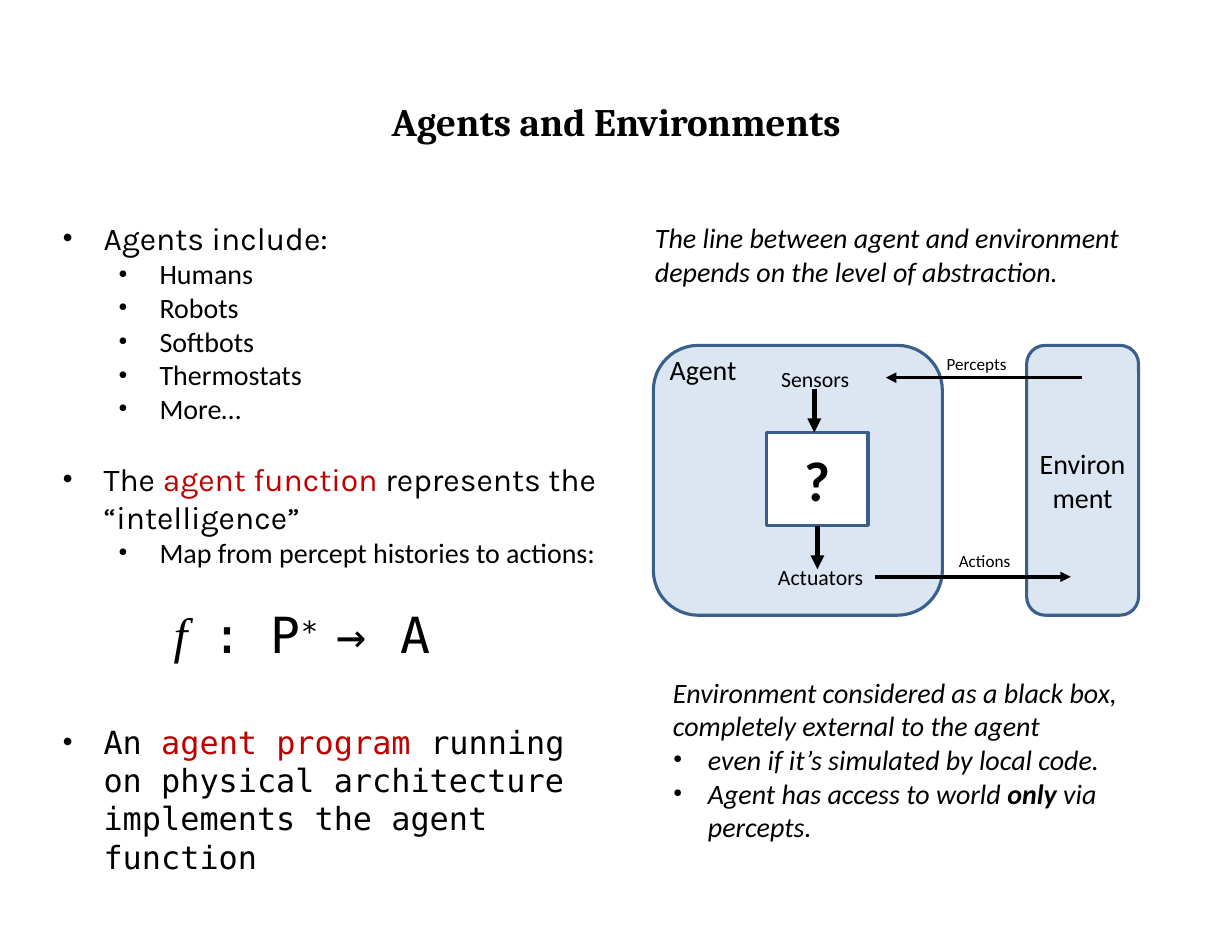
from lxml import etree
from pptx import Presentation
from pptx.dml.color import RGBColor
from pptx.enum.shapes import MSO_CONNECTOR, MSO_SHAPE
from pptx.enum.text import MSO_ANCHOR, PP_ALIGN
from pptx.oxml.ns import qn
from pptx.util import Pt

STRAIGHT = MSO_CONNECTOR.STRAIGHT
RECT, ROUND = MSO_SHAPE.RECTANGLE, MSO_SHAPE.ROUNDED_RECTANGLE
LEFT, CENTER = PP_ALIGN.LEFT, PP_ALIGN.CENTER
TOP, MIDDLE = MSO_ANCHOR.TOP, MSO_ANCHOR.MIDDLE

COLORS = {"text": "000000", "accent": "C00000", "panel": "DCE6F2",
          "outline": "3A5F8B", "white": "FFFFFF"}
BODY, HEAD, LEAD = "Calibri", "Cambria", "Karla"
MONO, SERIF = "DejaVu Sans Mono", "Times New Roman"


def rgb(name):
    return RGBColor.from_string(COLORS[name])


def run(text, font=BODY, size=18, color="text", bold=False, italic=False,
        spacing=0, raised=0):
    """Describe a piece of text and its format."""
    return dict(text=text, font=font, size=size, color=color, bold=bold,
                italic=italic, spacing=spacing, raised=raised)


def line(*runs, align=LEFT, margin=0, hang=0, before=0, level=0):
    """Describe a paragraph; a hanging indent gives it a bullet."""
    return dict(runs=runs, align=align, margin=margin, hang=hang,
                before=before, level=level)


class Page:
    def __init__(self, deck):
        self.shapes = deck.slides.add_slide(deck.slide_layouts[6]).shapes

    def fill_text(self, frame, lines, insets, anchor=TOP, wrap=True):
        frame.word_wrap = wrap
        frame.vertical_anchor = anchor
        side, edge = insets
        frame.margin_left = frame.margin_right = Pt(side)
        frame.margin_top = frame.margin_bottom = Pt(edge)
        for index, item in enumerate(lines):
            para = frame.add_paragraph() if index else frame.paragraphs[0]
            self.format_para(para, item)
            for piece in item["runs"]:
                self.add_span(para, piece)

    def format_para(self, para, item):
        para.alignment = item["align"]
        para.level = item["level"]
        para.space_before = Pt(item["before"])
        props = para._p.get_or_add_pPr()
        props.set("marL", str(Pt(item["margin"])))
        props.set("indent", str(-Pt(item["hang"])))
        if item["hang"]:
            color = etree.SubElement(props, qn("a:buClr"))
            etree.SubElement(color, qn("a:srgbClr"), val=COLORS["text"])
            etree.SubElement(props, qn("a:buFont"), typeface=SERIF)
            etree.SubElement(props, qn("a:buChar"), char="•")

    def add_span(self, para, piece):
        span = para.add_run()
        span.text = piece["text"]
        font = span.font
        font.name, font.size = piece["font"], Pt(piece["size"])
        font.bold, font.italic = piece["bold"], piece["italic"]
        font.color.rgb = rgb(piece["color"])
        props = span._r.get_or_add_rPr()
        if piece["spacing"]:
            props.set("spc", str(round(piece["spacing"] * 100)))
        if piece["raised"]:
            props.set("baseline", str(piece["raised"] * 1000))

    def text(self, left, top, width, height, *lines, insets=(7.2, 3.6), wrap=True):
        box = self.shapes.add_textbox(Pt(left), Pt(top), Pt(width), Pt(height))
        self.fill_text(box.text_frame, lines, insets, wrap=wrap)

    def block(self, kind, left, top, width, height, *lines, fill="panel",
              insets=(7.2, 3.6)):
        shape = self.shapes.add_shape(kind, Pt(left), Pt(top), Pt(width), Pt(height))
        shape.shadow.inherit = False
        shape.fill.solid()
        shape.fill.fore_color.rgb = rgb(fill)
        shape.line.color.rgb = rgb("outline")
        shape.line.width = Pt(2)
        self.fill_text(shape.text_frame, lines, insets, anchor=MIDDLE)

    def arrow(self, x1, y1, x2, y2, weight):
        arrow = self.shapes.add_connector(STRAIGHT, Pt(x1), Pt(y1), Pt(x2), Pt(y2))
        arrow.line.color.rgb = rgb("text")
        arrow.line.width = Pt(weight)
        etree.SubElement(arrow.line._get_or_add_ln(), qn("a:tailEnd"), type="triangle")
        etree.SubElement(arrow._element.spPr, qn("a:effectLst"))


def topic(*runs, before=0):
    return line(*runs, margin=27, hang=26.6, before=before)


def detail(text):
    return line(run(text), margin=63, hang=26.6, level=1)


deck = Presentation()
deck.slide_width, deck.slide_height = Pt(792), Pt(612)
page = Page(deck)

# Title
page.text(92, 62.6, 608, 30, line(run("Agents and Environments", HEAD, 25, bold=True),
                                  align=CENTER), insets=(0, 0))

# Left column
lead = dict(font=LEAD, size=20.5)
mono = dict(font=MONO, size=20.5)
formula = dict(font=MONO, size=32)
kinds = ["Humans", "Robots", "Softbots", "Thermostats", "More…"]
page.text(
    39.6, 140.6, 344, 430.5,
    topic(run("Agents include:", **lead)),
    *[detail(kind) for kind in kinds],
    topic(run("The ", **lead), run("agent function ", color="accent", **lead),
          run("represents the “intelligence”", **lead), before=22),
    detail("Map from percept histories to actions:"),
    line(run("f ", SERIF, 32, italic=True, spacing=4),
         run(": ", spacing=-1.1, **formula), run("P", spacing=0.1, **formula),
         run("∗ ", spacing=0.3, raised=33, **formula),
         run("→ ", spacing=1.2, **formula), run("A", spacing=2.1, **formula),
         margin=72, before=22),
    topic(run("An ", **mono), run("agent program ", color="accent", **mono),
          run("running on physical architecture implements the agent function", **mono),
          before=38),
    insets=(0, 0))

# Remarks above and below the diagram
page.text(414, 138.2, 324, 50.4, line(run(
    "The line between agent and environment depends on the level of abstraction. ",
    italic=True)))
note = dict(margin=22.5, hang=22.5)
page.text(
    425.5, 430.6, 317.5, 115,
    line(run("Environment considered as a black box, completely external to the agent ",
             italic=True)),
    line(run("even if it’s simulated by local code.", italic=True), **note),
    line(run("Agent has access to world ", italic=True),
         run("only", bold=True, italic=True),
         run(" via percepts. ", italic=True), **note))

# Diagram blocks
page.block(ROUND, 420, 222, 185.8, 173.5)
page.block(ROUND, 660, 222, 72, 173.5, line(run("Environment"), align=CENTER),
           insets=(3.6, 7.2))
page.block(RECT, 492.5, 278, 65.5, 59.8,
           line(run("?", size=36, bold=True), align=CENTER), fill="white")

# Diagram labels
page.text(423.4, 223.2, 72, 29, line(run("Agent")))
for label, size, left, top, width, height in [
        ("Sensors", 14, 495, 231.8, 62, 24),
        ("Actuators", 14, 493, 358.8, 73, 24),
        ("Percepts", 11, 601.4, 223.4, 57, 20),
        ("Actions", 11, 609.3, 350, 51, 20)]:
    page.text(left, top, width, height, line(run(label, size=size)))

# Diagram arrows
for x1, y1, x2, y2, weight in [
        (695.5, 242.8, 569.5, 242.8, 2.25),
        (562.4, 370.8, 688.4, 370.8, 2.25),
        (523.5, 250, 523.5, 278, 3),
        (525.5, 338, 525.5, 366, 3)]:
    page.arrow(x1, y1, x2, y2, weight)

deck.save("out.pptx")
